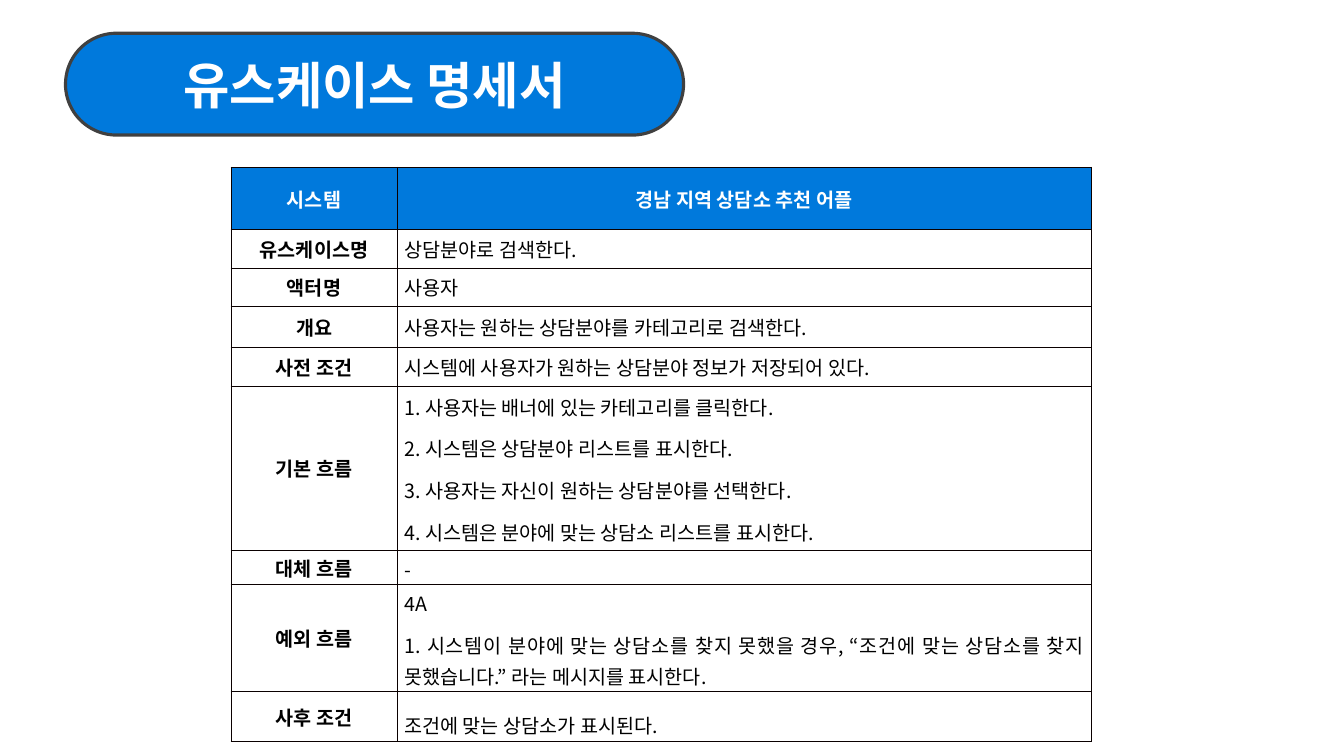
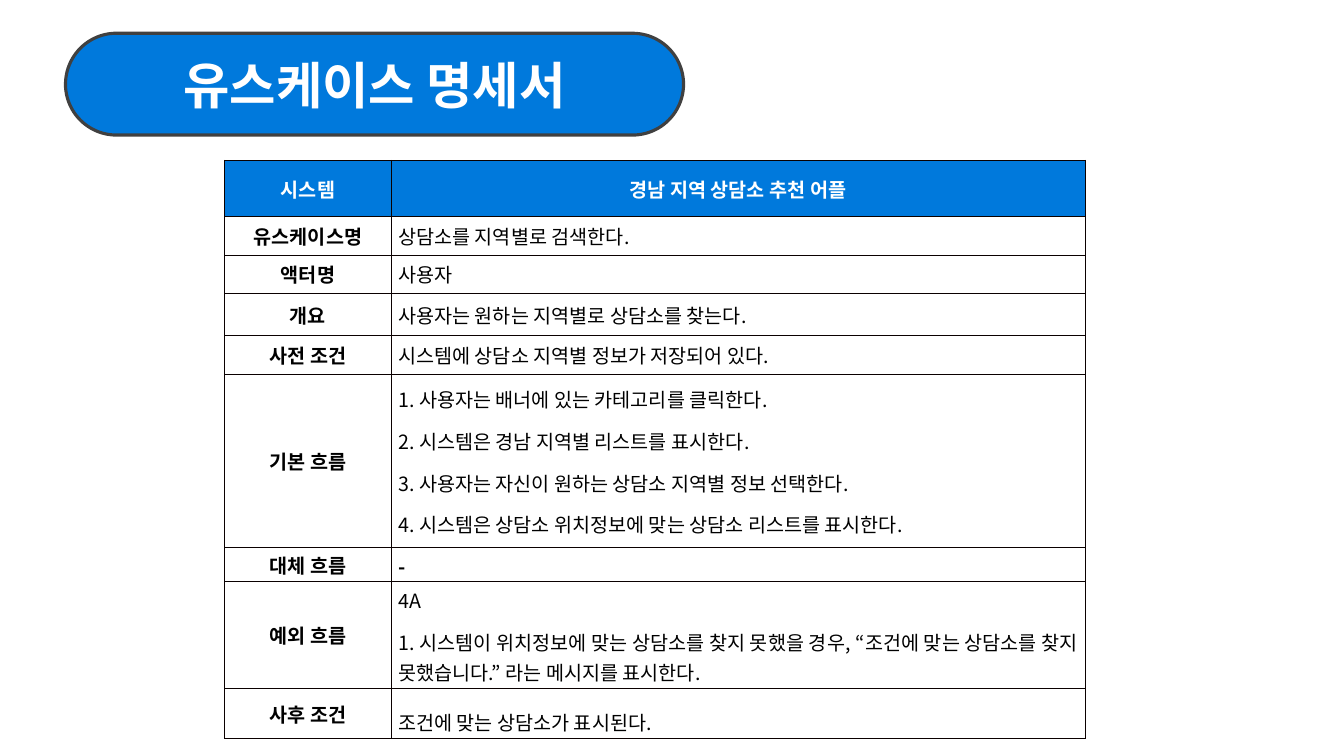
import pptx
import pptx.dml.color
import pptx.enum.shapes
import pptx.enum.text
import pptx.oxml
import pptx.oxml.ns
import pptx.util
from lxml import etree

Inches = pptx.util.Inches
Pt = pptx.util.Pt
RGBColor = pptx.dml.color.RGBColor
ALIGN = pptx.enum.text.PP_ALIGN
MIDDLE = pptx.enum.text.MSO_ANCHOR.MIDDLE

# Shared style
BLUE = RGBColor(0x00, 0x79, 0xDC)
OUTLINE = RGBColor(0x40, 0x40, 0x40)
BORDER = RGBColor(0x0A, 0x00, 0x00)
WHITE = RGBColor(0xFF, 0xFF, 0xFF)
BLACK = RGBColor(0x00, 0x00, 0x00)
FONT = "Noto Sans CJK KR"
TITLE = "유스케이스 명세서"
HEADER = ("시스템", "경남 지역 상담소 추천 어플")
LABELS = ["유스케이스명", "액터명", "개요", "사전 조건", "기본 흐름",
          "대체 흐름", "예외 흐름", "사후 조건"]
FLOW_LABELS = ("기본 흐름", "대체 흐름", "예외 흐름")
COLUMN_WIDTHS = (1.65, 6.88)

# One use case per slide: table position, row heights, one list of paragraphs per label
USE_CASES = [
    {
        "left": 2.29, "top": 1.66, "dash_bold": False,
        "heights": [0.62, 0.38, 0.38, 0.41, 0.38, 1.63, 0.34, 0.95, 0.43],
        "details": [
            ["상담분야로 검색한다."],
            ["사용자"],
            ["사용자는 원하는 상담분야를 카테고리로 검색한다."],
            ["시스템에 사용자가 원하는 상담분야 정보가 저장되어 있다."],
            ["1. 사용자는 배너에 있는 카테고리를 클릭한다.",
             "2. 시스템은 상담분야 리스트를 표시한다.",
             "3. 사용자는 자신이 원하는 상담분야를 선택한다.",
             "4. 시스템은 분야에 맞는 상담소 리스트를 표시한다."],
            ["-"],
            ["4A",
             "1. 시스템이 분야에 맞는 상담소를 찾지 못했을 경우, "
             "“조건에 맞는 상담소를 찾지 못했습니다.” 라는 메시지를 표시한다."],
            ["조건에 맞는 상담소가 표시된다."],
        ],
    },
    {
        "left": 2.23, "top": 1.59, "dash_bold": True,
        "heights": [0.56, 0.38, 0.38, 0.42, 0.38, 1.72, 0.3, 0.97, 0.48],
        "details": [
            ["상담소를 지역별로 검색한다."],
            ["사용자"],
            ["사용자는 원하는 지역별로 상담소를 찾는다."],
            ["시스템에 상담소 지역별 정보가 저장되어 있다."],
            ["1. 사용자는 배너에 있는 카테고리를 클릭한다.",
             "2. 시스템은 경남 지역별 리스트를 표시한다.",
             "3. 사용자는 자신이 원하는 상담소 지역별 정보 선택한다.",
             "4. 시스템은 상담소 위치정보에 맞는 상담소 리스트를 표시한다."],
            ["-"],
            ["4A",
             "1. 시스템이 위치정보에 맞는 상담소를 찾지 못했을 경우, "
             "“조건에 맞는 상담소를 찾지 못했습니다.” 라는 메시지를 표시한다."],
            ["조건에 맞는 상담소가 표시된다."],
        ],
    },
]


def add_text(para, text, size, color, bold, align):
    para.alignment = align
    span = para.add_run()
    span.text = text
    span.font.name = FONT
    span.font.size = Pt(size)
    span.font.bold = bold
    span.font.color.rgb = color
    # Hangul takes the East Asian typeface
    east_asian = etree.SubElement(span.font._element, pptx.oxml.ns.qn("a:ea"))
    east_asian.set("typeface", FONT)


def style_cell(cell, fill):
    cell.vertical_anchor = MIDDLE
    cell.margin_left = cell.margin_right = Inches(0.07)
    cell.margin_top = cell.margin_bottom = Inches(0.02)
    properties = cell._tc.get_or_add_tcPr()
    for side in ("lnL", "lnR", "lnT", "lnB"):
        properties.append(pptx.oxml.parse_xml(
            f'<a:{side} {pptx.oxml.ns.nsdecls("a")} w="{Pt(0.56)}"><a:solidFill>'
            f'<a:srgbClr val="{BORDER}"/></a:solidFill></a:{side}>'))
    if fill is None:
        cell.fill.background()
    else:
        cell.fill.solid()
        cell.fill.fore_color.rgb = fill


deck = pptx.Presentation()
deck.slide_width = Inches(13.33)
deck.slide_height = Inches(7.5)

for case in USE_CASES:
    page = deck.slides.add_slide(deck.slide_layouts[6])

    # Title pill
    pill = page.shapes.add_shape(
        pptx.enum.shapes.MSO_SHAPE.ROUNDED_RECTANGLE,
        Inches(0.65), Inches(0.33), Inches(6.13), Inches(1.01))
    pill.adjustments[0] = 0.5
    pill.shadow.inherit = False
    pill.fill.solid()
    pill.fill.fore_color.rgb = BLUE
    pill.line.color.rgb = OUTLINE
    pill.line.width = Pt(2.25)
    pill.text_frame.vertical_anchor = MIDDLE
    add_text(pill.text_frame.paragraphs[0], TITLE, 36, WHITE, True, ALIGN.CENTER)

    # Specification table
    heights = case["heights"]
    table = page.shapes.add_table(
        len(heights), len(COLUMN_WIDTHS), Inches(case["left"]), Inches(case["top"]),
        Inches(sum(COLUMN_WIDTHS)), Inches(sum(heights))).table
    table.first_row = False
    table.horz_banding = False
    for column, width in zip(table.columns, COLUMN_WIDTHS):
        column.width = Inches(width)
    for row, height in zip(table.rows, heights):
        row.height = Inches(height)

    # Header row
    for column_index, text in enumerate(HEADER):
        cell = table.cell(0, column_index)
        style_cell(cell, BLUE)
        add_text(cell.text_frame.paragraphs[0], text, 14, WHITE, True, ALIGN.CENTER)

    # Label and detail rows
    for row_index, (label, lines) in enumerate(zip(LABELS, case["details"]), start=1):
        label_cell = table.cell(row_index, 0)
        style_cell(label_cell, None)
        add_text(label_cell.text_frame.paragraphs[0], label, 14, BLACK, True, ALIGN.CENTER)

        detail_cell = table.cell(row_index, 1)
        style_cell(detail_cell, None)
        frame = detail_cell.text_frame
        is_flow = label in FLOW_LABELS
        for line_index, line in enumerate(lines):
            para = frame.add_paragraph() if line_index else frame.paragraphs[0]
            add_text(para, line, 14, BLACK, line == "-" and case["dash_bold"],
                     ALIGN.JUSTIFY if is_flow else ALIGN.LEFT)
            if is_flow:
                para.line_spacing = 1.07
                para.space_after = Pt(8)
            elif label == LABELS[-1]:
                para.line_spacing = 1.6

deck.save("out.pptx")
